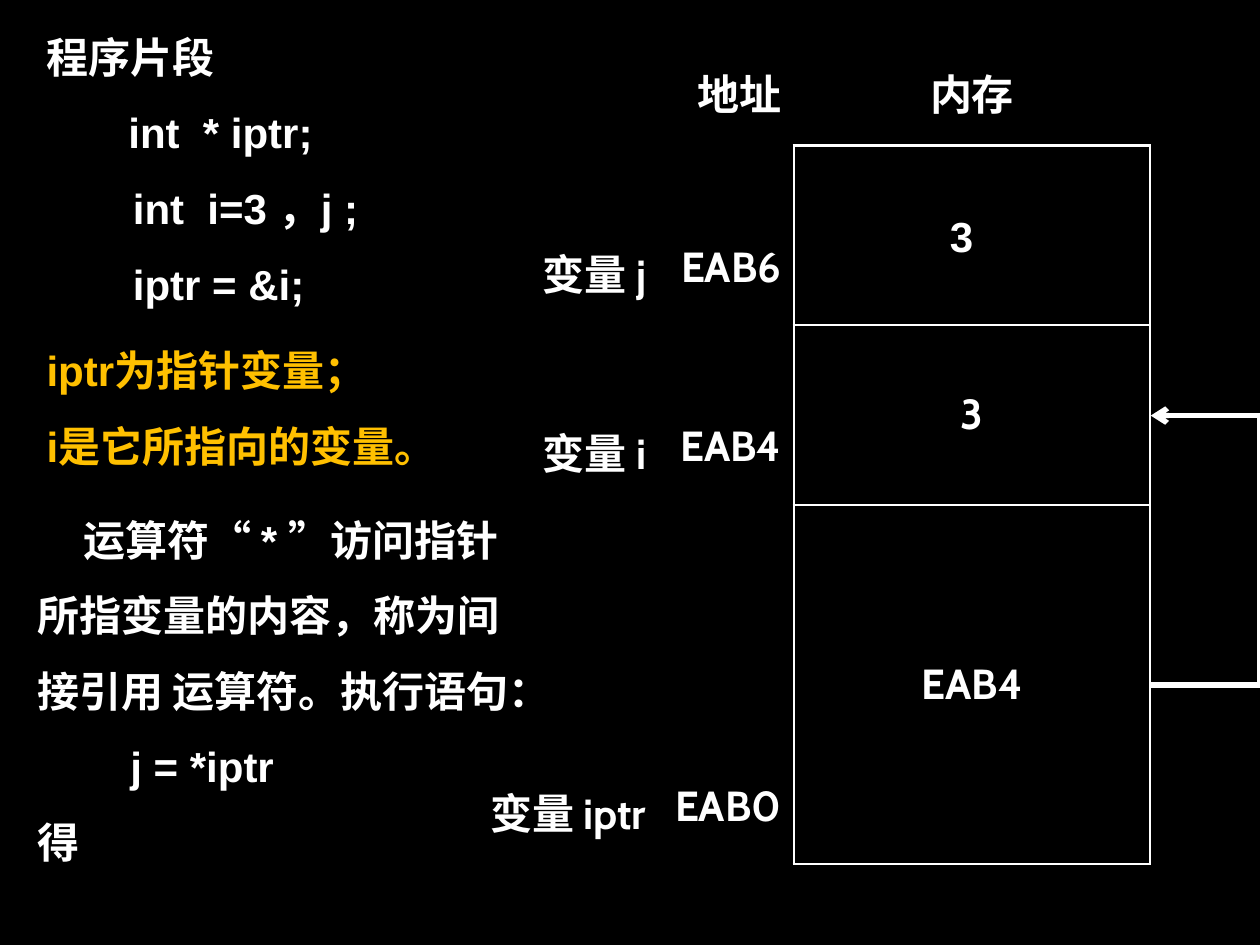
from lxml import etree
from pptx import Presentation
from pptx.dml.color import RGBColor
from pptx.enum.shapes import MSO_CONNECTOR
from pptx.enum.text import MSO_ANCHOR, PP_ALIGN
from pptx.oxml.ns import qn
from pptx.util import Cm, Pt

ELBOW = MSO_CONNECTOR.ELBOW
RIGHT, CENTER, LEFT = PP_ALIGN.RIGHT, PP_ALIGN.CENTER, PP_ALIGN.LEFT
MIDDLE, TOP = MSO_ANCHOR.MIDDLE, MSO_ANCHOR.TOP
COLORS = {"background": "000000", "text": "FFFFFF", "accent": "FFC000"}
NO_GRID_STYLE = "{2D5ABB26-0587-4C30-8999-92F81FD0307C}"
BLANK = 6


def rgb(name):
    return RGBColor.from_string(COLORS[name])


def format_font(font, name="Arial", color="text"):
    for attribute, value in {"name": name, "size": Pt(24), "bold": True}.items():
        setattr(font, attribute, value)
    font.color.rgb = rgb(color)


def add_passage(slide, box, lines, color="text", spacing=1.5):
    """Text box; each line is (text, left margin, first-line indent) in cm."""
    frame = slide.shapes.add_textbox(*map(Cm, box)).text_frame
    frame.word_wrap = True
    for index, (text, margin, indent) in enumerate(lines):
        paragraph = frame.paragraphs[0] if index == 0 else frame.add_paragraph()
        properties = paragraph._p.get_or_add_pPr()
        properties.set("marL", str(Cm(margin)))
        properties.set("indent", str(Cm(indent)))
        paragraph.line_spacing = spacing
        run = paragraph.add_run()
        run.text = text
        format_font(run.font, color=color)


def outline_cell(cell):
    properties = cell._tc.get_or_add_tcPr()
    for side in ("a:lnL", "a:lnR", "a:lnT", "a:lnB"):
        line = etree.SubElement(properties, qn(side), w=str(Pt(1.5)))
        fill = etree.SubElement(line, qn("a:solidFill"))
        etree.SubElement(fill, qn("a:srgbClr"), val=COLORS["text"])


def fill_cell(cell, text, alignment, anchor=TOP):
    cell.vertical_anchor = anchor
    paragraph = cell.text_frame.paragraphs[0]
    paragraph.alignment = alignment
    run = paragraph.add_run()
    run.text = text
    format_font(run.font, name="Cabin")


def add_memory_map(slide, box):
    """Table of variables, addresses and memory blocks."""
    rows = 9
    table = slide.shapes.add_table(rows, 3, *map(Cm, box)).table
    table._tbl.tblPr.find(qn("a:tableStyleId")).text = NO_GRID_STYLE
    table.first_row = table.horz_banding = False
    for column, share in zip(table.columns, (2.04, 1.07, 2.83)):
        column.width = Cm(box[2] * share / 5.94)
    for row in table.rows:
        row.height = Cm(box[3] / rows)
    for row in range(1, rows):
        outline_cell(table.cell(row, 2))
    for cell in table.iter_cells():
        cell.fill.background()

    # Headings
    fill_cell(table.cell(0, 1), "地址", RIGHT)
    fill_cell(table.cell(0, 2), "内存", CENTER)

    # Blocks: first row, last row, variable, address, content
    blocks = [
        (1, 2, "变量 j", "EAB6", ""),
        (3, 4, "变量 i", "EAB4", "3"),
        (5, 8, "变量 iptr", "EAB0", "EAB4"),
    ]
    for first, last, variable, address, content in blocks:
        memory = table.cell(first, 2)
        memory.merge(table.cell(last, 2))
        fill_cell(table.cell(last, 0), variable, RIGHT)
        fill_cell(table.cell(last, 1), address, RIGHT)
        if content:
            fill_cell(memory, content, CENTER, MIDDLE)


def add_pointer_arrow(slide, x, start_y, end_y, reach):
    """Elbow arrow that leaves to the right and comes back to the same edge."""
    width = 0.007
    arrow = slide.shapes.add_connector(
        ELBOW, Cm(x), Cm(start_y), Cm(x + width), Cm(end_y))
    arrow.line.color.rgb = rgb("text")
    arrow.line.width = Pt(3)
    properties = arrow._element.spPr
    guides = properties.find(qn("a:prstGeom")).get_or_add_avLst()
    bend = round(reach / width * 100000)
    etree.SubElement(guides, qn("a:gd"), name="adj1", fmla=f"val {bend}")
    etree.SubElement(arrow.line._get_or_add_ln(), qn("a:tailEnd"), type="arrow")
    etree.SubElement(properties, qn("a:effectLst"))


def main():
    presentation = Presentation()
    presentation.slide_width, presentation.slide_height = Cm(25.4), Cm(19.05)
    slide = presentation.slides.add_slide(presentation.slide_layouts[BLANK])
    background = slide.background.fill
    background.solid()
    background.fore_color.rgb = rgb("background")

    # Memory diagram
    add_memory_map(slide, (8.1, 1.12, 15.09, 16.3))

    # Program fragment
    add_passage(slide, (0.69, 0, 10.62, 6.35), [
        ("程序片段", 0, 0),
        ("int  * iptr;", 1.65, 0),
        ("int  i=3 ，j ;", 1.74, 0),
        ("iptr = &i;", 1.74, 0),
    ])

    # Pointer from iptr to i
    add_pointer_arrow(slide, 23.19, 13.81, 8.38, 2.2)

    # Indirection operator
    add_passage(slide, (0.5, 9.73, 10.62, 7.87), [
        ("运算符“ * ”访问指针所指变量的内容，称为间接引用 运算符。执行语句：", 0, 0.93),
        ("j = *iptr", 1.88, 0),
        ("得", 0, 0),
    ])

    # Value assigned to j
    add_passage(slide, (18.9, 4.11, 1.4, 1.27), [("3", 0, 0)], spacing=1)

    # Meaning of the variables
    add_passage(slide, (0.69, 6.32, 10.36, 3.3), [
        ("iptr为指针变量；", 0, 0),
        ("i是它所指向的变量。", 0, 0),
    ], color="accent")

    presentation.save("out.pptx")


if __name__ == "__main__":
    main()
